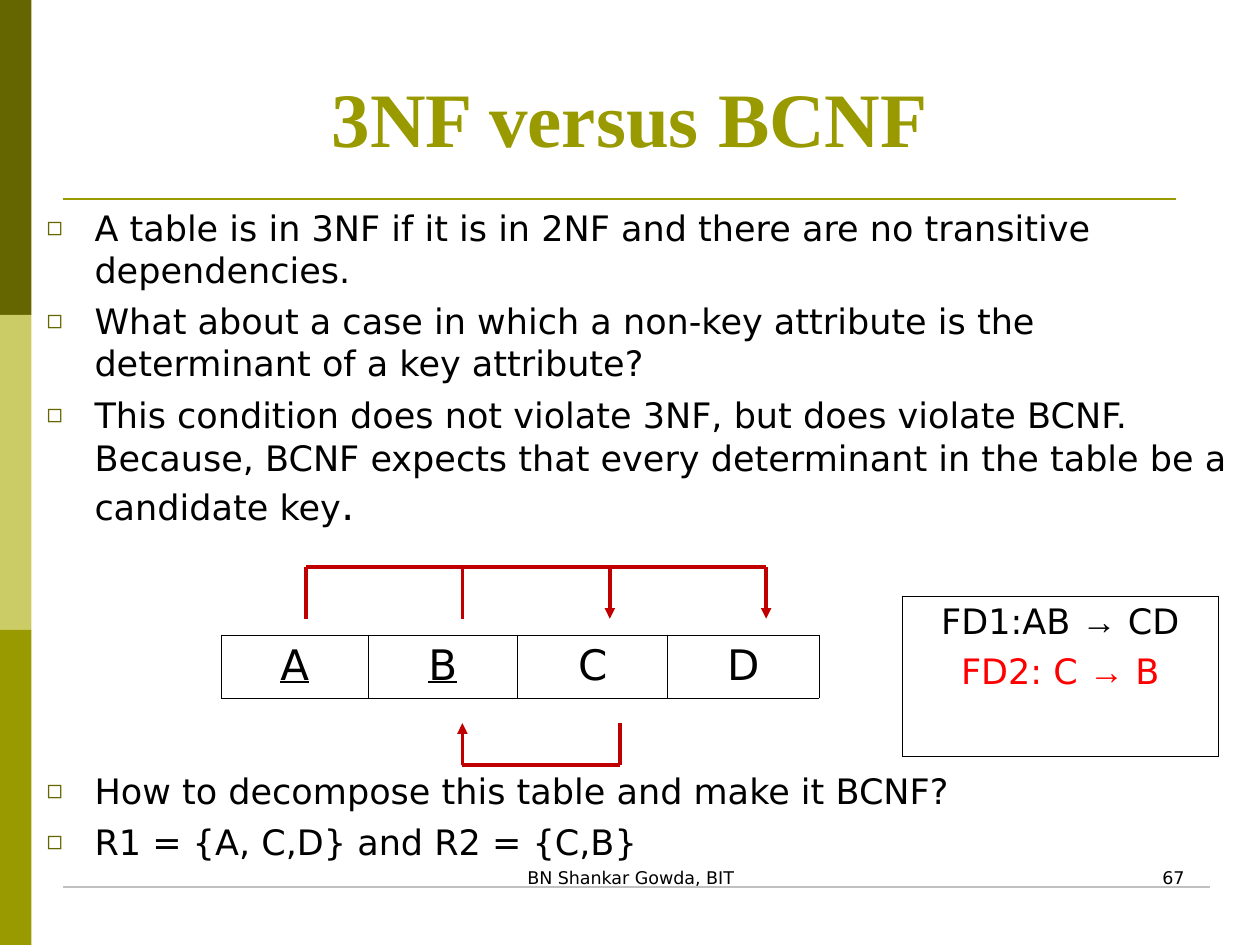
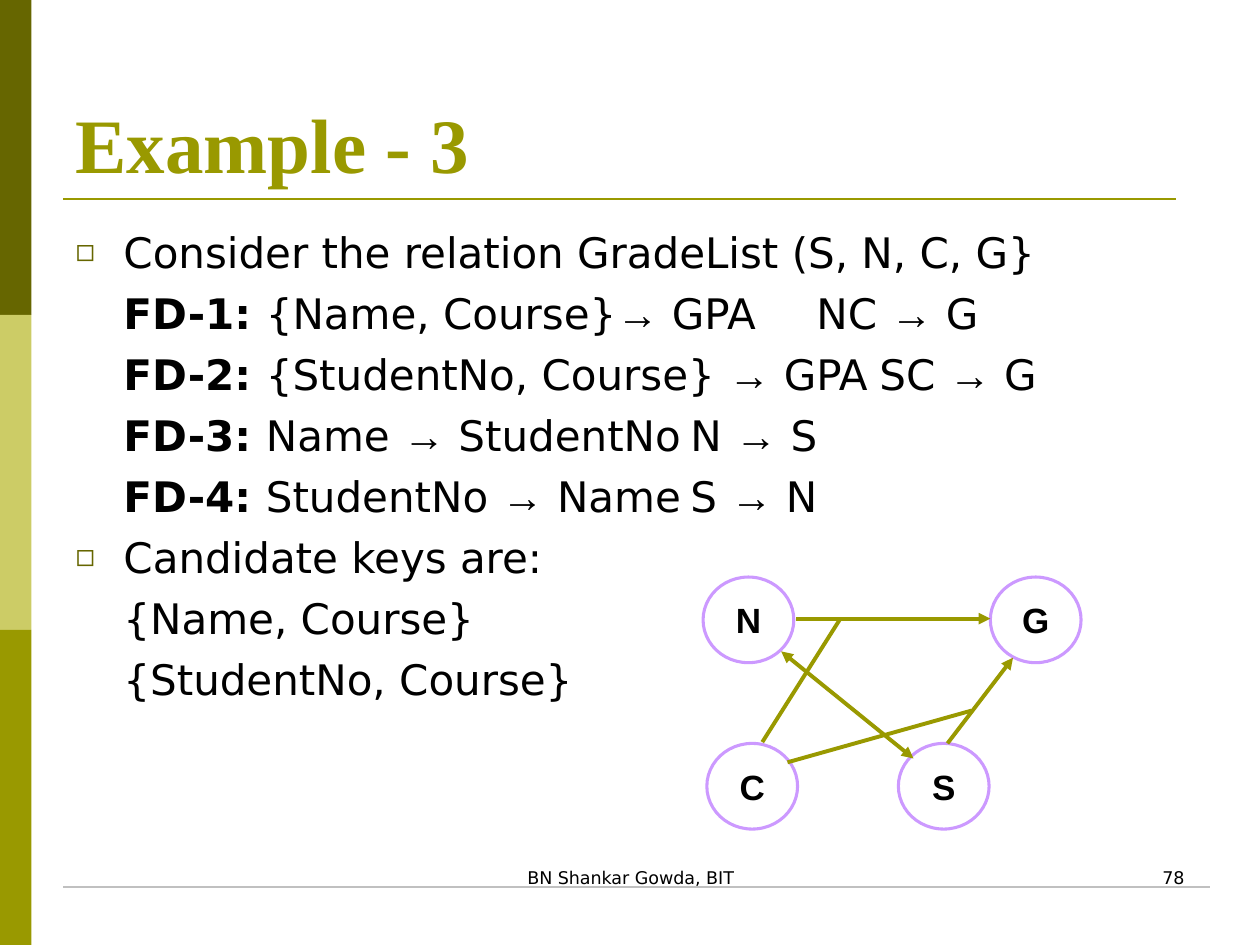
"""Build two slides on normal forms: 3NF versus BCNF, and an example with its dependency graph."""
from lxml import etree
from pptx import Presentation
from pptx.dml.color import RGBColor
from pptx.enum.shapes import MSO_CONNECTOR, MSO_SHAPE
from pptx.enum.text import MSO_ANCHOR, MSO_AUTO_SIZE, PP_ALIGN
from pptx.oxml.ns import qn
from pptx.util import Inches, Pt

LEFT, CENTER, RIGHT = PP_ALIGN.LEFT, PP_ALIGN.CENTER, PP_ALIGN.RIGHT
BOTTOM, NO_AUTOFIT = MSO_ANCHOR.BOTTOM, MSO_AUTO_SIZE.NONE
RECTANGLE, OVAL = MSO_SHAPE.RECTANGLE, MSO_SHAPE.OVAL
STRAIGHT = MSO_CONNECTOR.STRAIGHT

COLORS = {
    "dark olive": "666600", "pale olive": "CCCC66", "olive": "999900",
    "silver": "C0C0C0", "black": "000000", "white": "FFFFFF",
    "dependency": "C00000", "violation": "FF0000", "node": "CC99FF",
}
RGB = {name: RGBColor.from_string(value) for name, value in COLORS.items()}
BODY_FONT, TITLE_FONT, SYMBOL_FONT = "DejaVu Sans", "Times New Roman", "Arial"
COLUMNS, ROWS = 100, 75
BAND_WIDTH, BAND_HEIGHT = 2.5, ROWS / 3
INDENT = Inches(0.38)

presentation = Presentation()
presentation.slide_width, presentation.slide_height = Inches(10), Inches(7.5)
CELL_WIDTH = presentation.slide_width / COLUMNS
CELL_HEIGHT = presentation.slide_height / ROWS


def grid(*cells):
    """Turn alternating column and row counts into slide lengths."""
    return [round(cell * (CELL_HEIGHT if index % 2 else CELL_WIDTH))
            for index, cell in enumerate(cells)]


def write(paragraph, text, size, color="black", font=BODY_FONT, alignment=LEFT,
          before=0, bold=False):
    """Format a paragraph and add its text, with arrows in the symbol font."""
    paragraph.alignment = alignment
    paragraph.space_before = Pt(before)
    paragraph.font.size = Pt(size)
    paragraph.font.name = font
    paragraph.font.bold = bold
    paragraph.font.color.rgb = RGB[color]
    for index, piece in enumerate(text.split("→")):
        if index:
            arrow = paragraph.add_run()
            arrow.text = "→"
            arrow.font.name = SYMBOL_FONT
        paragraph.add_run().text = piece


pages = [
    {
        "title": "3NF versus BCNF", "alignment": CENTER, "number": "67", "size": 20,
        "title box": (5, 3, 90, 10.4), "body box": (2.7, 15.9, 97.3, 54.9),
        "lines": [
            (True, "", "A table is in 3NF if it is in 2NF and there are no transitive "
             "dependencies.", 0, 0),
            (True, "", "What about a case in which a non-key attribute is the determinant "
             "of a key attribute?", 5, 0),
            (True, "", "This condition does not violate 3NF, but does violate BCNF. Because, "
             "BCNF expects that every determinant in the table be a candidate key", 6, 0),
            (True, "", "How to decompose this table and make it BCNF?", 138, 0),
            (True, "", "R1 = {A, C,D} and R2 = {C,B}", 5, 0),
        ],
    },
    {
        "title": "Example - 3", "alignment": LEFT, "number": "78", "size": 24,
        "title box": (5, 3, 90, 12.5), "body box": (5, 17.5, 90, 49.5),
        "lines": [
            (True, "", "Consider the relation GradeList (S, N, C, G}", 0, 0),
            (False, "FD-1: ", "{Name, Course}→ GPA\tNC → G", 6, 7),
            (False, "FD-2: ", "{StudentNo, Course} → GPA\tSC → G", 6, 6),
            (False, "FD-3: ", "Name → StudentNo\tN → S", 6, 7),
            (False, "FD-4: ", "StudentNo → Name\tS → N", 6, 7),
            (True, "", "Candidate keys are:", 6, 0),
            (False, "", "{Name, Course}", 6, 0),
            (False, "", "{StudentNo, Course}", 6, 0),
        ],
    },
]

connectors = []
for page in pages:
    slide = presentation.slides.add_slide(presentation.slide_layouts[1])
    for index, color in enumerate(("dark olive", "pale olive", "olive")):
        band = slide.shapes.add_shape(
            RECTANGLE, *grid(0, index * BAND_HEIGHT, BAND_WIDTH, BAND_HEIGHT))
        band.shadow.inherit = False
        band.fill.solid()
        band.fill.fore_color.rgb = RGB[color]
        band.line.fill.background()
    connectors += [
        (slide, (5, 15.8, 93.3, 15.8), "olive", 1.5, ()),
        (slide, (5, 70.4, 96, 70.4), "silver", 0.75, ()),
    ]
    for box, text, alignment in (
        ((34.2, 68.3, 31.7, 5), "BN Shankar Gowda, BIT", CENTER),
        ((71.7, 68.3, 23.3, 5), page["number"], RIGHT),
    ):
        footer = slide.shapes.add_textbox(*grid(*box)).text_frame
        footer.word_wrap = True
        write(footer.paragraphs[0], text, 10, alignment=alignment)

    title, body = slide.placeholders
    for placeholder, box in ((title, page["title box"]), (body, page["body box"])):
        placeholder.left, placeholder.top, placeholder.width, placeholder.height = grid(*box)
        placeholder.text_frame.auto_size = NO_AUTOFIT
    title.text_frame.vertical_anchor = BOTTOM
    write(title.text_frame.paragraphs[0], page["title"], 44, "olive", TITLE_FONT,
          page["alignment"], bold=True)

    for index, (bulleted, label, text, before, tab) in enumerate(page["lines"]):
        frame = body.text_frame
        paragraph = frame.add_paragraph() if index else frame.paragraphs[0]
        properties = paragraph._p.get_or_add_pPr()
        properties.set("marL", str(INDENT))
        properties.set("indent", str(-INDENT if bulleted else 0))
        if bulleted:
            bullet_color = etree.SubElement(properties, qn("a:buClr"))
            etree.SubElement(bullet_color, qn("a:srgbClr"), val=COLORS["dark olive"])
            etree.SubElement(properties, qn("a:buSzPct"), val="75000")
            etree.SubElement(properties, qn("a:buChar"), char="◻")
        else:
            etree.SubElement(properties, qn("a:buNone"))
        if tab:
            tabs = etree.SubElement(properties, qn("a:tabLst"))
            etree.SubElement(tabs, qn("a:tab"), pos=str(Inches(tab)), algn="l")
        if label:
            label_run = paragraph.add_run()
            label_run.text = label
            label_run.font.bold = True
        write(paragraph, text, page["size"], before=before)

comparison, example = presentation.slides
period = comparison.placeholders[1].text_frame.paragraphs[2].add_run()
period.text = "."
period.font.size = Pt(24)

tables = [
    ((17.6, 50.4, 47.3, 5), (11.6, 11.9, 11.9, 12), 24,
     [[(letter, "black")] for letter in "ABCD"]),
    ((71.6, 47.3, 25.1, 12.7), (25.1,), 20,
     [[("FD1:AB → CD", "black"), ("FD2: C → B", "violation")]]),
]
for box, widths, size, cells in tables:
    table = comparison.shapes.add_table(1, len(cells), *grid(*box)).table
    table.first_row = table.horz_banding = False
    for column, width, cell, lines in zip(table.columns, widths, table.rows[0].cells, cells):
        column.width = grid(width)[0]
        cell_properties = cell._tc.get_or_add_tcPr()
        for side in ("a:lnL", "a:lnR", "a:lnT", "a:lnB"):
            border = etree.SubElement(cell_properties, qn(side), w=str(Pt(0.45)))
            border_fill = etree.SubElement(border, qn("a:solidFill"))
            etree.SubElement(border_fill, qn("a:srgbClr"), val=COLORS["black"])
        cell.fill.background()
        for index, (text, color) in enumerate(lines):
            frame = cell.text_frame
            paragraph = frame.add_paragraph() if index else frame.paragraphs[0]
            write(paragraph, text, size, color, alignment=CENTER, before=5 * index)
            paragraph.font.underline = text in ("A", "B")

for ends, arrows in (
    ((24.3, 45, 60.8, 45), ()),
    ((24.3, 45, 24.3, 49.1), ()),
    ((36.7, 45, 36.7, 49.1), ()),
    ((48.4, 45, 48.4, 49.1), ("a:tailEnd",)),
    ((60.8, 45, 60.8, 49.1), ("a:tailEnd",)),
    ((36.7, 60.7, 49.2, 60.7), ()),
    ((49.2, 57.4, 49.2, 60.7), ()),
    ((36.7, 60.7, 36.7, 57.4), ("a:tailEnd",)),
):
    connectors.append((comparison, ends, "dependency", 2, arrows))

for letter, left, top in (("N", 55.8, 45.8), ("G", 78.6, 45.8),
                          ("C", 56.1, 59), ("S", 71.3, 59)):
    node = example.shapes.add_shape(OVAL, *grid(left, top, 7.2, 6.8))
    node.shadow.inherit = False
    node.fill.solid()
    node.fill.fore_color.rgb = RGB["white"]
    node.line.color.rgb = RGB["node"]
    node.line.width = Pt(1.75)
    write(node.text_frame.paragraphs[0], letter, 20, font=SYMBOL_FONT,
          alignment=CENTER, bold=True)

for ends, arrows in (
    ((63.2, 49.1, 78.6, 49.1), ("a:tailEnd",)),
    ((75.2, 59, 80.4, 52.2), ("a:tailEnd",)),
    ((62, 51.7, 72.5, 60.2), ("a:headEnd", "a:tailEnd")),
    ((60.5, 58.9, 66.7, 49.1), ()),
    ((62.5, 60.5, 77.1, 56.4), ()),
):
    connectors.append((example, ends, "olive", 2.25, arrows))

for slide, ends, color, width, arrows in connectors:
    connector = slide.shapes.add_connector(STRAIGHT, *grid(*ends))
    connector.line.color.rgb = RGB[color]
    connector.line.width = Pt(width)
    for arrow in arrows:
        etree.SubElement(connector.line._get_or_add_ln(), qn(arrow), type="triangle")
    etree.SubElement(connector._element.spPr, qn("a:effectLst"))

presentation.save("out.pptx")
